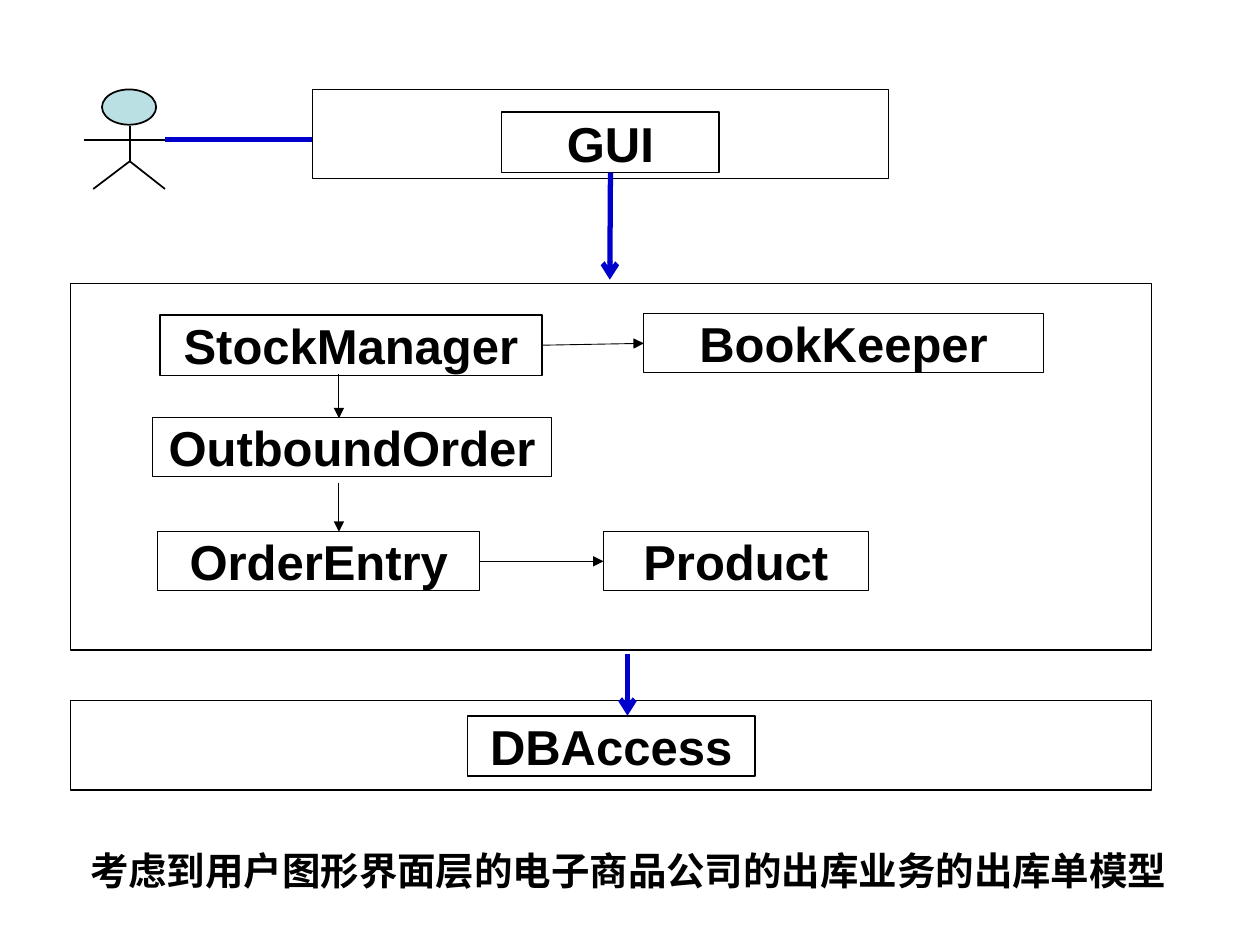
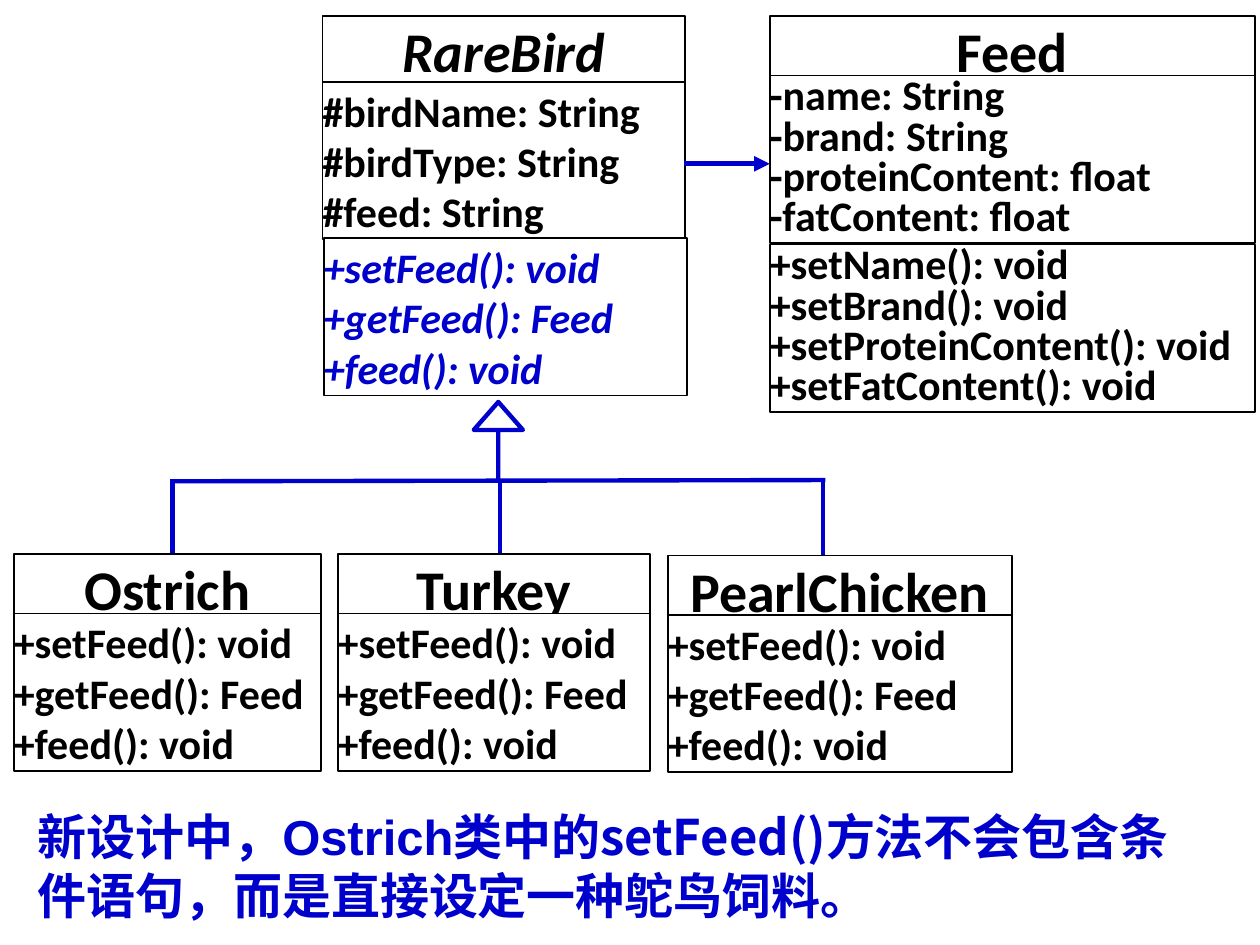
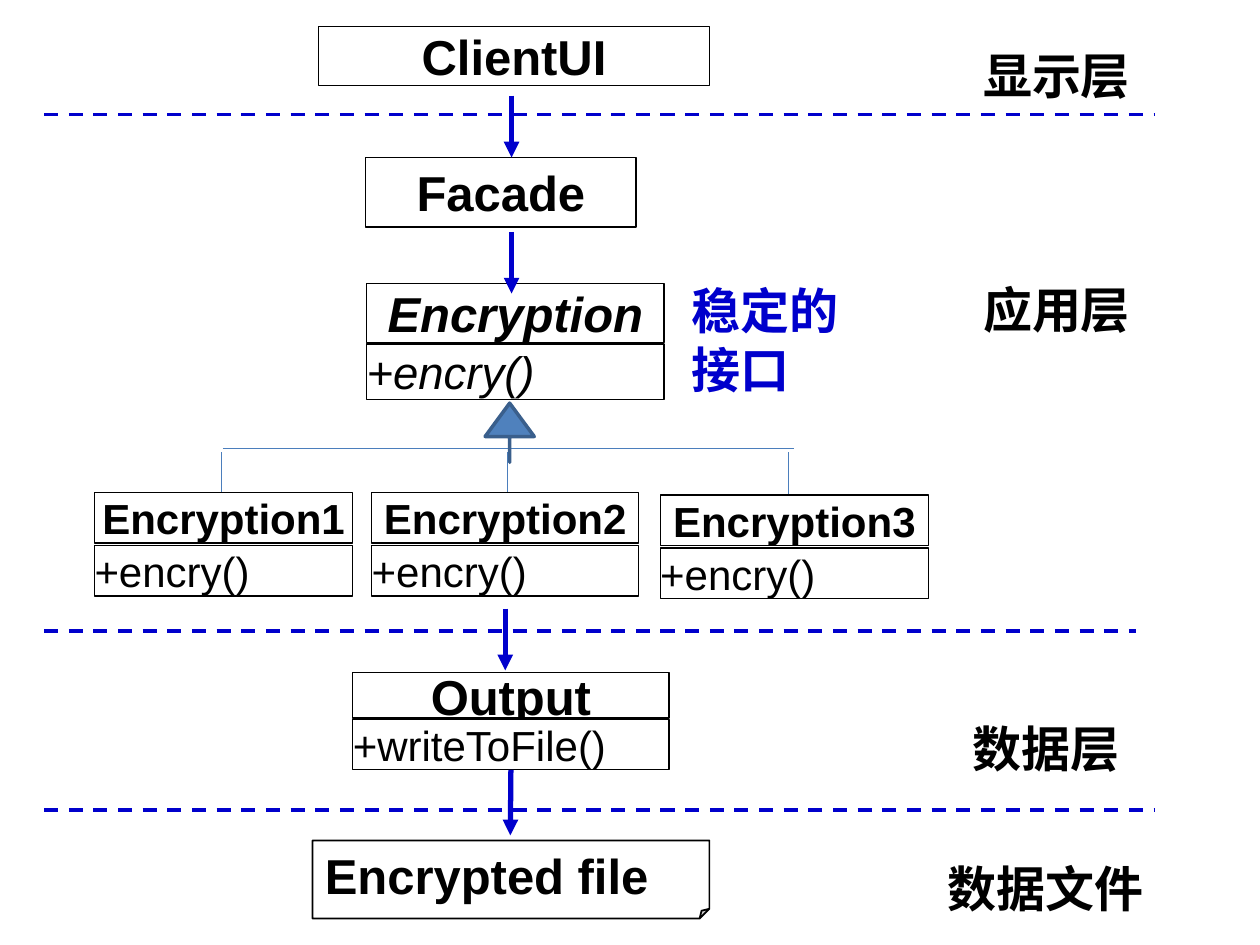
"""Builds three class and layer diagrams of a software design course."""
import dataclasses
import typing

import pptx
import pptx.dml.color
import pptx.enum.dml
import pptx.enum.shapes
import pptx.enum.text
import pptx.oxml
import pptx.oxml.ns
import pptx.util

KIND = pptx.enum.shapes.MSO_SHAPE
ALIGN = pptx.enum.text.PP_ALIGN
ANCHOR = pptx.enum.text.MSO_ANCHOR
BLACK, WHITE, BLUE = "000000", "FFFFFF", "0000CC"
STEEL, EDGE, RULE, PALE = "4F81BD", "3A5F8C", "4B7EBC", "BBE0E3"
HAN = "Noto Sans CJK SC"
CELL = pptx.util.Inches(10) / 100
COLS, ROWS = 100, 75


@dataclasses.dataclass(frozen=True)
class Face:
    size: float
    font: str = "Arial"
    bold: bool = True
    italic: bool = False
    ink: str = BLACK


@dataclasses.dataclass(frozen=True)
class Look:
    line: float = 0.75
    edge: str = BLACK
    fill: typing.Optional[str] = WHITE
    align: ALIGN = ALIGN.CENTER
    anchor: ANCHOR = ANCHOR.MIDDLE
    gap: float = 1.0
    pad: tuple = (0, 0)
    kind: KIND = KIND.RECTANGLE


class Area(typing.NamedTuple):
    x: float
    y: float
    w: float
    h: float


class Bird(typing.NamedTuple):
    name: str
    x: float
    y: float
    w: float


HEAD = Face(28)
LEAF = Face(24)
PLAIN = Face(24, bold=False)
TITLE = Face(32, "Calibri")
BODY = Face(24, "Calibri")
NOTE = Face(28, HAN, ink=BLUE)
LABEL = Face(28, HAN)
THIN, SOLID = Look(0.5), Look(1)
FRAME = Look(fill=None)
LIST = Look(1, align=ALIGN.JUSTIFY)
TIGHT = dataclasses.replace(LIST, gap=0.8)
ROW = Look(align=ALIGN.JUSTIFY)
LAYER = Look(0, anchor=ANCHOR.TOP, pad=(0, 0.1))
FILE = Look(1, align=ALIGN.JUSTIFY, anchor=ANCHOR.TOP, pad=(1, 0.4),
            kind=KIND.FOLDED_CORNER)


def cells(*spans: float) -> list:
    return [pptx.util.Emu(round(span * CELL)) for span in spans]


def hue(code: str):
    return pptx.dml.color.RGBColor.from_string(code)


def child(parent, tag: str, **attrs: str) -> None:
    node = pptx.oxml.parse_xml(f"<a:{tag} {pptx.oxml.ns.nsdecls('a')}/>")
    for key, value in attrs.items():
        node.set(key, value)
    parent.append(node)


def style(font, face: Face) -> None:
    font.size = pptx.util.Pt(face.size)
    font.bold, font.italic = face.bold, face.italic
    font.name = face.font
    font.color.rgb = hue(face.ink)
    child(font._element, "ea", typeface=HAN)


def write(frame, text: str, face: Face, look: Look) -> None:
    frame.word_wrap = True
    frame.vertical_anchor = look.anchor
    frame.margin_left, frame.margin_top = cells(*look.pad)
    frame.margin_right, frame.margin_bottom = cells(*look.pad)
    for i, words in enumerate(text.split("\n")):
        para = frame.add_paragraph() if i else frame.paragraphs[0]
        para.text = words
        para.alignment = look.align
        para.line_spacing = look.gap
        style(para.font, face)


def box(shapes, area: Area, look: Look, text: str = "", face: Face = HEAD):
    shape = shapes.add_shape(look.kind, *cells(*area))
    shape.shadow.inherit = False
    if look.fill:
        shape.fill.solid()
        shape.fill.fore_color.rgb = hue(look.fill)
    else:
        shape.fill.background()
    if look.line:
        shape.line.width = pptx.util.Pt(look.line)
        shape.line.color.rgb = hue(look.edge)
    else:
        shape.line.fill.background()
    if text:
        write(shape.text_frame, text, face, look)
    return shape


def note(shapes, area: Area, text: str, face: Face, align=ALIGN.LEFT):
    frame = shapes.add_textbox(*cells(*area)).text_frame
    write(frame, text, face, Look(align=align, anchor=ANCHOR.TOP, pad=(1, 0.5)))
    return frame


def link(shapes, ends: tuple, width: float = 3, ink: str = BLUE, tip: str = "",
         dash: bool = False, start=None, stop=None) -> None:
    line = shapes.add_connector(pptx.enum.shapes.MSO_CONNECTOR.STRAIGHT, *cells(*ends))
    if start:
        line.begin_connect(*start)
    if stop:
        line.end_connect(*stop)
    line.line.width = pptx.util.Pt(width)
    line.line.color.rgb = hue(ink)
    if dash:
        line.line.dash_style = pptx.enum.dml.MSO_LINE.DASH
    if tip:
        child(line.line._get_or_add_ln(), "tailEnd", type=tip)
    child(line._element.spPr, "effectLst")


def rise(shapes, area: Area, look: Look, tip: float) -> None:
    arrow = box(shapes, area, look)
    arrow.adjustments[0], arrow.adjustments[1] = 0, tip


def actor(shapes) -> None:
    group = shapes.add_group_shape().shapes
    box(group, Area(8.1, 7.1, 4.3, 2.8), Look(1, fill=PALE, kind=KIND.OVAL))
    for ends in ((6.7, 11.1, 14.6, 11.1), (10.3, 10, 10.3, 12.8),
                 (10.3, 12.8, 7.4, 15), (10.3, 12.8, 13.1, 15)):
        link(group, ends, 1, BLACK)


def stock(shapes) -> None:
    for area in (Area(24.8, 7.1, 45.7, 7.1), Area(5.6, 22.5, 85.8, 29.1),
                 Area(5.6, 55.6, 85.8, 7.1)):
        box(shapes, area, FRAME)
    actor(shapes)
    parts = {}
    for name, area, look in (
            ("GUI", Area(39.8, 8.9, 17.3, 4.8), SOLID),
            ("DBAccess", Area(37.1, 56.8, 22.8, 4.8), SOLID),
            ("StockManager", Area(12.7, 25, 30.3, 4.8), SOLID),
            ("BookKeeper", Area(51.1, 24.9, 31.7, 4.7), THIN),
            ("OutboundOrder", Area(12.1, 33.1, 31.7, 4.7), THIN),
            ("OrderEntry", Area(12.5, 42.2, 25.6, 4.7), THIN),
            ("Product", Area(47.9, 42.2, 21, 4.7), THIN)):
        parts[name] = box(shapes, area, look, name)
    for left, right in (("StockManager", "BookKeeper"), ("OrderEntry", "Product")):
        link(shapes, (0, 0, 0, 0), 0.5, BLACK, "triangle",
             start=(parts[left], 3), stop=(parts[right], 1))
    for top, end in ((29.7, 33.2), (38.3, 42.2)):
        link(shapes, (26.9, top, 26.9, end), 0.5, BLACK, "triangle")
    link(shapes, (13.1, 11.1, 24.8, 11.1), 2.75)
    link(shapes, (48.4, 13.7, 48.4, 22.2), tip="arrow", start=(parts["GUI"], 2))
    link(shapes, (49.8, 51.9, 49.8, 56.8), tip="arrow")
    note(shapes, Area(5.6, 66.7, 88.5, 4.7),
         "考虑到用户图形界面层的电子商品公司的出库业务的出库单模型",
         Face(22, HAN), ALIGN.CENTER)


def birds(shapes) -> None:
    calls = "+setFeed(): void\n+getFeed(): Feed\n+feed(): void"
    slant = dataclasses.replace(BODY, italic=True, ink=BLUE)
    box(shapes, Area(25.6, 1.3, 28.8, 5.4), SOLID, "RareBird",
        dataclasses.replace(TITLE, italic=True))
    box(shapes, Area(25.6, 6.5, 28.8, 12.5), LIST,
        "#birdName: String\n#birdType: String\n#feed: String", BODY)
    box(shapes, Area(25.7, 18.9, 28.8, 12.5), LIST, calls, slant)
    box(shapes, Area(61.1, 1.3, 38.5, 5.4), SOLID, "Feed", TITLE)
    for top, text in (
            (6, "-name: String\n-brand: String\n-proteinContent: float\n"
                "-fatContent: float"),
            (19.4, "+setName(): void\n+setBrand(): void\n"
                   "+setProteinContent(): void\n+setFatContent(): void")):
        box(shapes, Area(61.1, top, 38.5, 13.3), TIGHT, text, BODY)
    link(shapes, (54.3, 13, 61.1, 13), tip="triangle")
    link(shapes, (13.5, 38.2, 65.5, 38.1), 2.5)
    rise(shapes, Area(37.6, 31.9, 3.9, 6.2), Look(2.5, BLUE, kind=KIND.UP_ARROW), 0.57)
    for x in (13.7, 39.7, 65.3):
        link(shapes, (x, 38.1, x, 44.4), 2.5)
    for bird in (Bird("Ostrich", 1.1, 44, 24.4), Bird("Turkey", 26.8, 44, 24.8),
                 Bird("PearlChicken", 53, 44.1, 27.3)):
        box(shapes, Area(bird.x, bird.y, bird.w, 5.4), SOLID, bird.name, TITLE)
        box(shapes, Area(bird.x, bird.y + 4.7, bird.w, 12.5), LIST, calls, BODY)
    frame = note(shapes, Area(2, 63.5, 94.5, 10.4), "新设计中，", NOTE)
    for words in ("Ostrich", "类中的setFeed()方法不会包含条件语句，而是直接设定一种鸵鸟饲料。"):
        run = frame.paragraphs[0].add_run()
        run.text = words
        if words == "Ostrich":
            run.font.name = "Arial"


def layers(shapes) -> None:
    slant = dataclasses.replace(HEAD, italic=True)
    box(shapes, Area(29.1, 22.5, 23.6, 4.7), Look(), "Encryption", slant)
    box(shapes, Area(29.1, 27.3, 23.6, 4.4), ROW, "+encry()",
        Face(26, bold=False, italic=True))
    link(shapes, (17.7, 35.6, 63, 35.6), 0.75, RULE)
    for x in (17.6, 40.3, 62.6):
        link(shapes, (x, 35.9, x, 40.8), 0.75, RULE)
    rise(shapes, Area(38.5, 32, 3.9, 4.7), Look(2, EDGE, STEEL, kind=KIND.UP_ARROW), 0.68)
    box(shapes, Area(25.3, 2.1, 31, 4.7), Look(), "ClientUI")
    box(shapes, Area(29, 12.5, 21.5, 5.5), SOLID, "Facade")
    for i, (x, y, w) in enumerate(((7.5, 39.1, 20.5), (29.5, 39.1, 21.2),
                                   (52.4, 39.3, 21.3)), 1):
        box(shapes, Area(x, y, w, 4), Look(), f"Encryption{i}", LEAF)
        box(shapes, Area(x, y + 4.2, w, 4), ROW, "+encry()", PLAIN)
    box(shapes, Area(28, 53.4, 25.1, 3.6), Look(), "Output")
    sink = box(shapes, Area(28, 57.1, 25.1, 4), ROW, "+writeToFile()", PLAIN)
    file = box(shapes, Area(24.8, 66.7, 31.5, 6.2), FILE, "Encrypted file")
    bends = file._element.spPr.find(".//" + pptx.oxml.ns.qn("a:avLst"))
    child(bends, "gd", name="adj", fmla="val 12500")
    for text, x, y, w in (("显示层", 75.9, 3.5, 15.9), ("应用层", 75.9, 22.1, 15.9),
                          ("数据层", 72.7, 56.9, 20.6), ("数据文件", 72.7, 68, 20.6)):
        box(shapes, Area(x, y, w, 4.9), LAYER, text, LABEL)
    for y, end in ((9.1, 91.7), (50.1, 90.2), (64.3, 91.7)):
        link(shapes, (3.5, y, end, y), 2, dash=True)
    for x, y in ((40.6, 7.6), (40.6, 18.4), (40.1, 48.3)):
        link(shapes, (x, y, x, y + 4.9), tip="triangle")
    link(shapes, (40.5, 61.1, 40.5, 66.3), tip="triangle", start=(sink, 2))
    note(shapes, Area(53.9, 21.8, 13.8, 10.4), "稳定的\n接口", NOTE)


def main() -> None:
    deck = pptx.Presentation()
    deck.slide_width, deck.slide_height = cells(COLS, ROWS)
    for draw in (stock, birds, layers):
        draw(deck.slides.add_slide(deck.slide_layouts[6]).shapes)
    deck.save("out.pptx")


if __name__ == "__main__":
    main()
